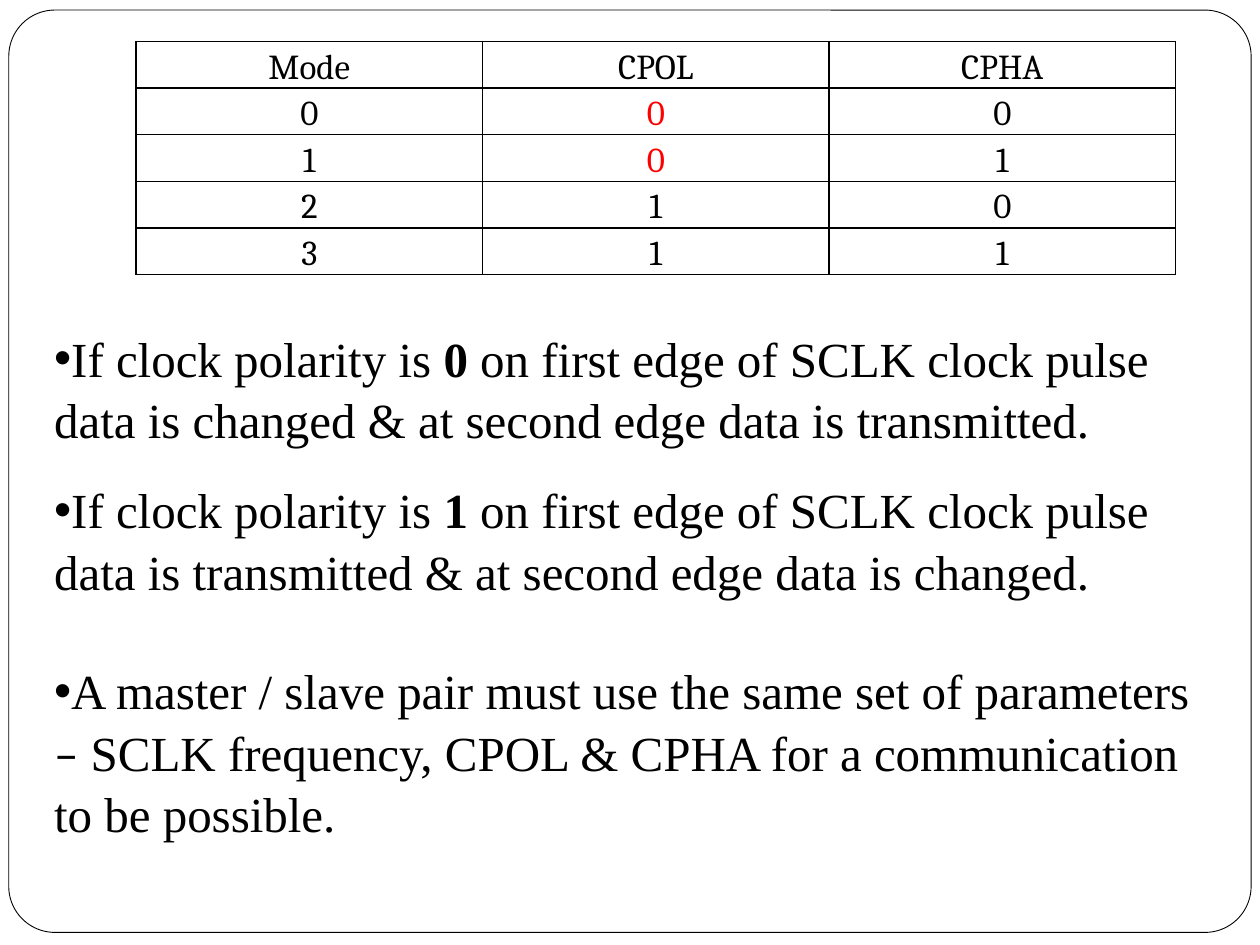
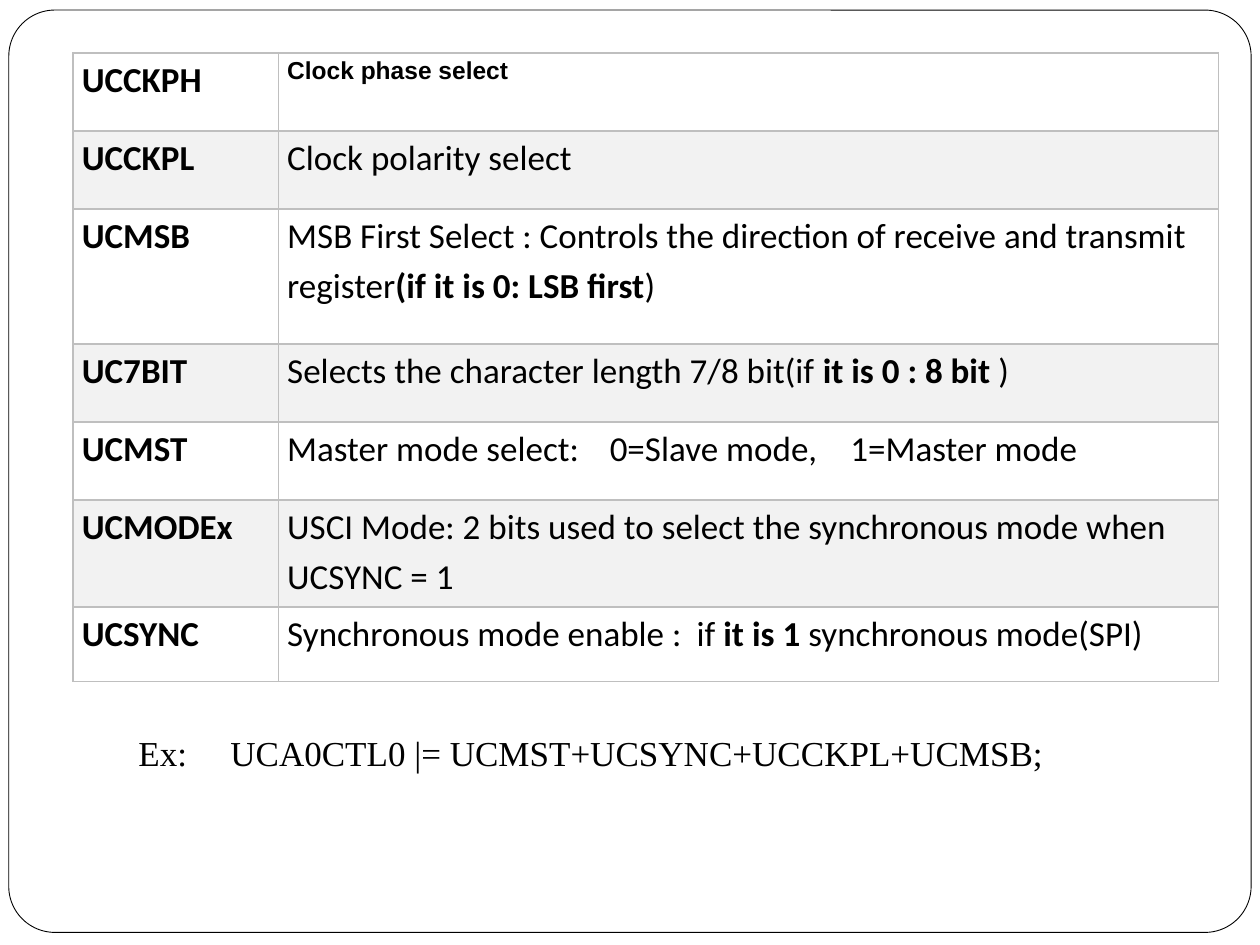
from dataclasses import dataclass

from lxml import etree
from pptx import Presentation
from pptx.dml.color import RGBColor
from pptx.enum import shapes, text
from pptx.oxml import ns
from pptx.util import Inches, Pt


@dataclass(frozen=True)
class Theme:
    """Colours, fonts and type sizes shared by the slides."""
    ink: str = "000000"
    paper: str = "FFFFFF"
    accent: str = "FF0000"
    grid: str = "BFBFBF"
    band: str = "F2F2F2"
    body_font: str = "Times New Roman"
    mode_font: str = "Cambria"
    register_font: str = "Calibri"
    small_font: str = "Arial"
    list_size: int = 28
    table_size: int = 20
    small_size: int = 14


THEME = Theme()
MODES = [
    ["Mode", "CPOL", "CPHA"],
    ["0", "0", "0"],
    ["1", "0", "1"],
    ["2", "1", "0"],
    ["3", "1", "1"],
]
POLARITY_NOTES = [
    ("If clock polarity is *0* on first edge of SCLK clock pulse data is changed "
     "& at second edge data is transmitted.", 0, {"bold": True}),
    ("If clock polarity is *1* on first edge of SCLK clock pulse data is transmitted "
     "& at second edge data is changed.", 16.8, {"bold": True}),
    ("A master / slave pair must use the same set of parameters *–* SCLK frequency, "
     "CPOL & CPHA for a communication to be possible.", 33.5, {"name": THEME.register_font}),
]
REGISTER_BITS = [
    ("UCCKPH", "Clock phase select", 0.62, ()),
    ("UCCKPL", "Clock polarity select", 0.62, ()),
    ("UCMSB", "MSB First Select : Controls the direction of receive and transmit "
              "register*(if it is 0: LSB first*)", 1.07, ()),
    ("UC7BIT", "Selects the character length 7/8 bit(if *it is 0 : 8 bit* )", 0.62, ()),
    ("UCMST", "Master mode select:\t0=Slave mode,\t1=Master mode", 0.62, (2.56, 4.47)),
    ("UCMODEx", "USCI Mode: 2 bits used to select the synchronous mode when UCSYNC = 1",
     0.85, ()),
    ("UCSYNC", "Synchronous mode enable :\tif *it is 1 *synchronous mode(SPI)", 0.59, (3.25,)),
]


def add_runs(paragraph, marked, emphasis):
    """Write text whose starred parts take the font settings in emphasis."""
    for index, part in enumerate(marked.split("*")):
        run = paragraph.add_run()
        run.text = part
        if index % 2:
            for name, value in emphasis.items():
                setattr(run.font, name, value)


def add_tabs(paragraph, stops):
    """Add left tab stops, given in inches."""
    if stops:
        tabs = etree.SubElement(paragraph._p.get_or_add_pPr(), ns.qn("a:tabLst"))
        for stop in stops:
            etree.SubElement(tabs, ns.qn("a:tab"), pos=str(Inches(stop)), algn="l")


def set_font(paragraph, name, size, color=THEME.ink, bold=False):
    """Set the font of a whole paragraph."""
    font = paragraph.font
    font.name, font.size, font.bold = name, Pt(size), bold
    font.color.rgb = RGBColor.from_string(color)


def set_borders(cell, color):
    """Draw one-point borders round a cell."""
    properties = cell._tc.get_or_add_tcPr()
    for position, side in enumerate(("a:lnL", "a:lnR", "a:lnT", "a:lnB")):
        line = etree.Element(ns.qn(side), w=str(Pt(1)))
        fill = etree.SubElement(line, ns.qn("a:solidFill"))
        etree.SubElement(fill, ns.qn("a:srgbClr"), val=color)
        properties.insert(position, line)


def add_plain_table(slide, left, top, widths, heights, border):
    """Add an unstyled table with borders and narrow margins."""
    table = slide.shapes.add_table(
        len(heights), len(widths), Inches(left), Inches(top),
        Inches(sum(widths)), Inches(sum(heights))).table
    table.first_row = table.horz_banding = False
    for column, width in zip(table.columns, widths):
        column.width = Inches(width)
    for row, height in zip(table.rows, heights):
        row.height = Inches(height)
    for cell in table.iter_cells():
        cell.margin_left = cell.margin_right = Inches(0.07)
        cell.margin_top = cell.margin_bottom = 0
        cell.fill.background()
        set_borders(cell, border)
        cell.text_frame.paragraphs[0].line_spacing = 1.15
    return table


def add_mode_table(slide, left, top):
    """Add the table of clock modes, with zero polarity accented."""
    table = add_plain_table(slide, left, top, [2.75] * 3, [0.37] * len(MODES), THEME.ink)
    for row, values in enumerate(MODES):
        for column, value in enumerate(values):
            paragraph = table.cell(row, column).text_frame.paragraphs[0]
            paragraph.alignment = text.PP_ALIGN.CENTER
            add_runs(paragraph, value, {})
            zero_polarity = column == 1 and value == "0"
            set_font(paragraph, THEME.mode_font, THEME.table_size,
                     THEME.accent if zero_polarity else THEME.ink)


def add_polarity_notes(body, left, top, width, height):
    """Fill the body placeholder with the bulleted notes."""
    body.left, body.top, body.width, body.height = map(Inches, (left, top, width, height))
    frame = body.text_frame
    frame.auto_size = text.MSO_AUTO_SIZE.NONE
    frame.vertical_anchor = text.MSO_ANCHOR.MIDDLE
    for index, (note, gap, emphasis) in enumerate(POLARITY_NOTES):
        paragraph = frame.add_paragraph() if index else frame.paragraphs[0]
        paragraph.line_spacing = 1.04
        paragraph.space_before = Pt(gap)
        properties = paragraph._p.get_or_add_pPr()
        properties.set("marL", "0")
        properties.set("indent", "0")
        etree.SubElement(properties, ns.qn("a:buChar"), char="•")
        add_runs(paragraph, note, emphasis)
        set_font(paragraph, THEME.body_font, THEME.list_size)


def add_register_table(slide, left, top):
    """Add the banded table of register bits."""
    heights = [height for _, _, height, _ in REGISTER_BITS]
    table = add_plain_table(slide, left, top, [1.63, 7.46], heights, THEME.grid)
    for row, (name, meaning, _, stops) in enumerate(REGISTER_BITS):
        cells = table.cell(row, 0), table.cell(row, 1)
        if row % 2:
            for cell in cells:
                cell.fill.solid()
                cell.fill.fore_color.rgb = RGBColor.from_string(THEME.band)
        label, detail = (cell.text_frame.paragraphs[0] for cell in cells)
        add_runs(label, name, {})
        set_font(label, THEME.register_font, THEME.table_size, bold=True)
        add_tabs(detail, stops)
        add_runs(detail, meaning, {"bold": True})
        if row == 0:
            set_font(detail, THEME.small_font, THEME.small_size, bold=True)
        else:
            set_font(detail, THEME.register_font, THEME.table_size)


def add_example(slide, left, top, width, height):
    """Add the line of example code."""
    box = slide.shapes.add_textbox(*map(Inches, (left, top, width, height)))
    frame = box.text_frame
    frame.word_wrap = True
    frame.vertical_anchor = text.MSO_ANCHOR.MIDDLE
    paragraph = frame.paragraphs[0]
    add_tabs(paragraph, [0.73])
    add_runs(paragraph, "Ex:\tUCA0CTL0 |= UCMST+UCSYNC+UCCKPL+UCMSB;", {})
    set_font(paragraph, THEME.body_font, THEME.table_size)


def move_frame_to_master(presentation, slide):
    """Draw the rounded page frame and place it at the back of the master."""
    frame = slide.shapes.add_shape(
        shapes.MSO_SHAPE.ROUNDED_RECTANGLE, *map(Inches, (0.07, 0.08, 9.86, 7.32)))
    frame.adjustments[0] = 0.05
    frame.shadow.inherit = False
    frame.fill.solid()
    frame.fill.fore_color.rgb = RGBColor.from_string(THEME.paper)
    frame.line.color.rgb = RGBColor.from_string(THEME.ink)
    frame.line.width = Pt(0.5)
    frame.element.nvSpPr.cNvPr.set("id", "99")
    presentation.slide_master.shapes[0].element.addprevious(frame.element)


def build_mode_slide(presentation):
    """Build the slide on clock modes."""
    slide = presentation.slides.add_slide(presentation.slide_layouts[1])
    title = slide.shapes.title.element
    title.getparent().remove(title)
    move_frame_to_master(presentation, slide)
    add_mode_table(slide, 1.08, 0.33)
    add_polarity_notes(slide.placeholders[1], 0.33, 2.58, 9.33, 4.11)


def build_register_slide(presentation):
    """Build the slide on register bits."""
    slide = presentation.slides.add_slide(presentation.slide_layouts[6])
    add_register_table(slide, 0.58, 0.42)
    add_example(slide, 1, 5.75, 8.42, 0.44)


def main():
    """Build and save the presentation."""
    presentation = Presentation()
    presentation.slide_width, presentation.slide_height = Inches(10), Inches(7.5)
    build_mode_slide(presentation)
    build_register_slide(presentation)
    presentation.save("out.pptx")


if __name__ == "__main__":
    main()
